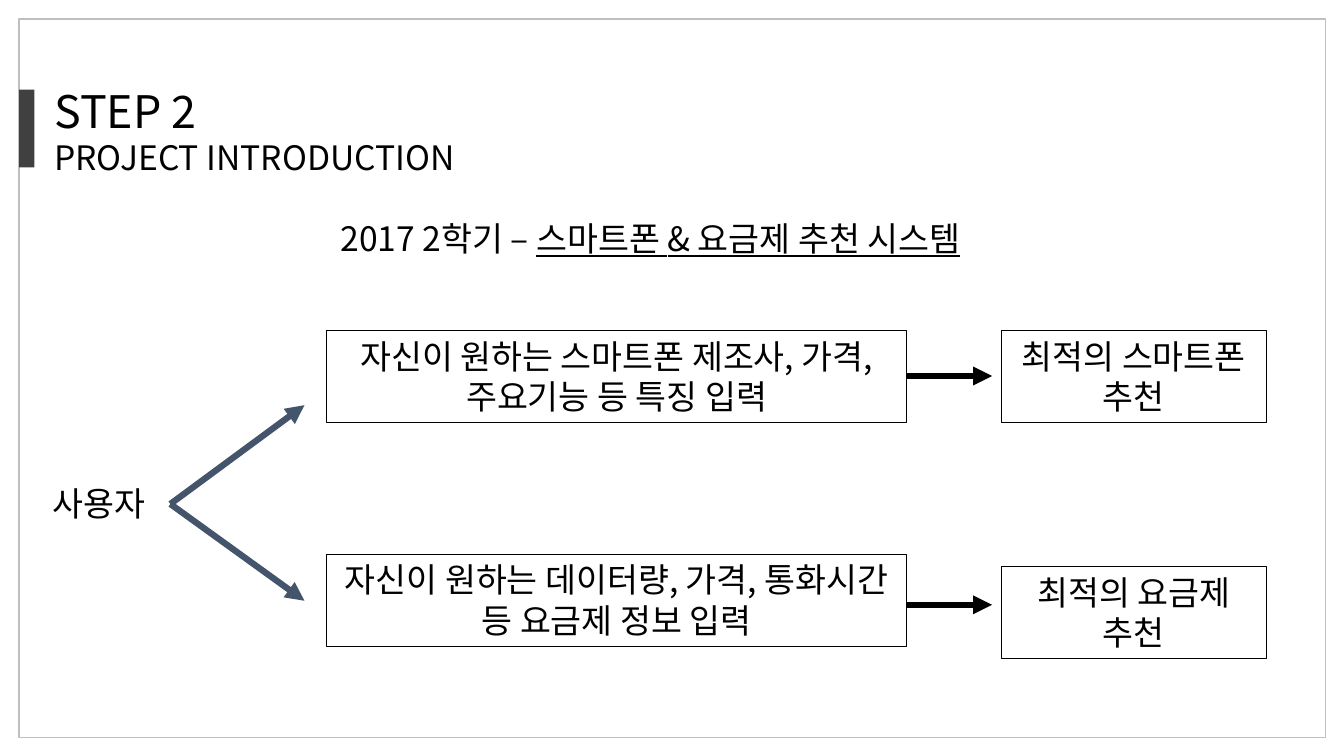
from lxml import etree
from pptx import Presentation
from pptx.dml.color import RGBColor
from pptx.enum import shapes, text
from pptx.oxml import ns
from pptx.util import Inches, Pt

FONT = "Noto Sans CJK KR"
BLACK = "000000"
SLATE = "44546A"


def color(hex_value):
    return RGBColor.from_string(hex_value)


def write(shape, paragraphs, alignment=text.PP_ALIGN.LEFT):
    """Fill a shape with paragraphs, each a list of (words, size, underline)."""
    frame = shape.text_frame
    frame.word_wrap = True
    frame.vertical_anchor = text.MSO_ANCHOR.TOP
    for index, runs in enumerate(paragraphs):
        paragraph = frame.add_paragraph() if index else frame.paragraphs[0]
        paragraph.alignment = alignment
        for words, size, underline in runs:
            run = paragraph.add_run()
            run.text = words
            run.font.name = FONT
            run.font.size = Pt(size)
            run.font.underline = underline
            run.font.color.rgb = color(BLACK)
            east_asian = etree.SubElement(run.font._element, ns.qn("a:ea"))
            east_asian.set("typeface", FONT)


presentation = Presentation()
presentation.slide_width = Inches(13.33)
presentation.slide_height = Inches(7.5)
slide = presentation.slides.add_slide(presentation.slide_layouts[6])

# Page frame, title bar and flow boxes: place, fill, line, line width, words
rectangles = [
    ((0.19, 0.19, 12.96, 7.13), None, "BFBFBF", 1, None),
    ((0.19, 0.89, 0.15, 0.77), "404040", None, 0, None),
    ((3.24, 3.28, 5.75, 0.91), None, BLACK, 0.75,
     "자신이 원하는 스마트폰 제조사, 가격, 주요기능 등 특징 입력"),
    ((3.24, 5.5, 5.75, 0.91), None, BLACK, 0.75,
     "자신이 원하는 데이터량, 가격, 통화시간 등 요금제 정보 입력"),
    ((9.93, 3.28, 2.63, 0.91), None, BLACK, 0.75, "최적의 스마트폰 추천"),
    ((9.93, 5.62, 2.63, 0.91), None, BLACK, 0.75, "최적의 요금제 추천"),
]
for place, fill, line, width, words in rectangles:
    shape = slide.shapes.add_shape(
        shapes.MSO_SHAPE.RECTANGLE, *[Inches(value) for value in place])
    shape.shadow.inherit = False
    if fill:
        shape.fill.solid()
        shape.fill.fore_color.rgb = color(fill)
    else:
        shape.fill.background()
    if line:
        shape.line.color.rgb = color(line)
        shape.line.width = Pt(width)
    else:
        shape.line.fill.background()
    if words:
        write(shape, [[(words, 24, False)]], text.PP_ALIGN.CENTER)

# Title, topic and user label
labels = [
    ((0.44, 0.78, 7.71, 1.58),
     [[("STEP 2", 32, False)], [("PROJECT INTRODUCTION", 24, False)]]),
    ((3.28, 2.11, 9.62, 0.5),
     [[("2017 2학기 – ", 24, False), ("스마트폰 & 요금제 추천 시스템", 24, True)]]),
    ((0.42, 4.74, 1.26, 0.5), [[("사용자", 24, False)]]),
]
for place, paragraphs in labels:
    label = slide.shapes.add_textbox(*[Inches(value) for value in place])
    write(label, paragraphs)

# Arrows from the user to the inputs, and from the inputs to the results
arrows = [
    ((1.69, 5, 3.02, 4.02), SLATE),
    ((1.69, 5, 3.02, 5.96), SLATE),
    ((8.99, 3.73, 9.84, 3.73), BLACK),
    ((8.99, 6, 9.84, 6), BLACK),
]
for ends, line in arrows:
    arrow = slide.shapes.add_connector(
        shapes.MSO_CONNECTOR.STRAIGHT, *[Inches(value) for value in ends])
    arrow.line.color.rgb = color(line)
    arrow.line.width = Pt(4.5)
    head = etree.SubElement(arrow.line._get_or_add_ln(), ns.qn("a:tailEnd"))
    head.set("type", "triangle")
    etree.SubElement(arrow._element.spPr, ns.qn("a:effectLst"))

presentation.save("out.pptx")
